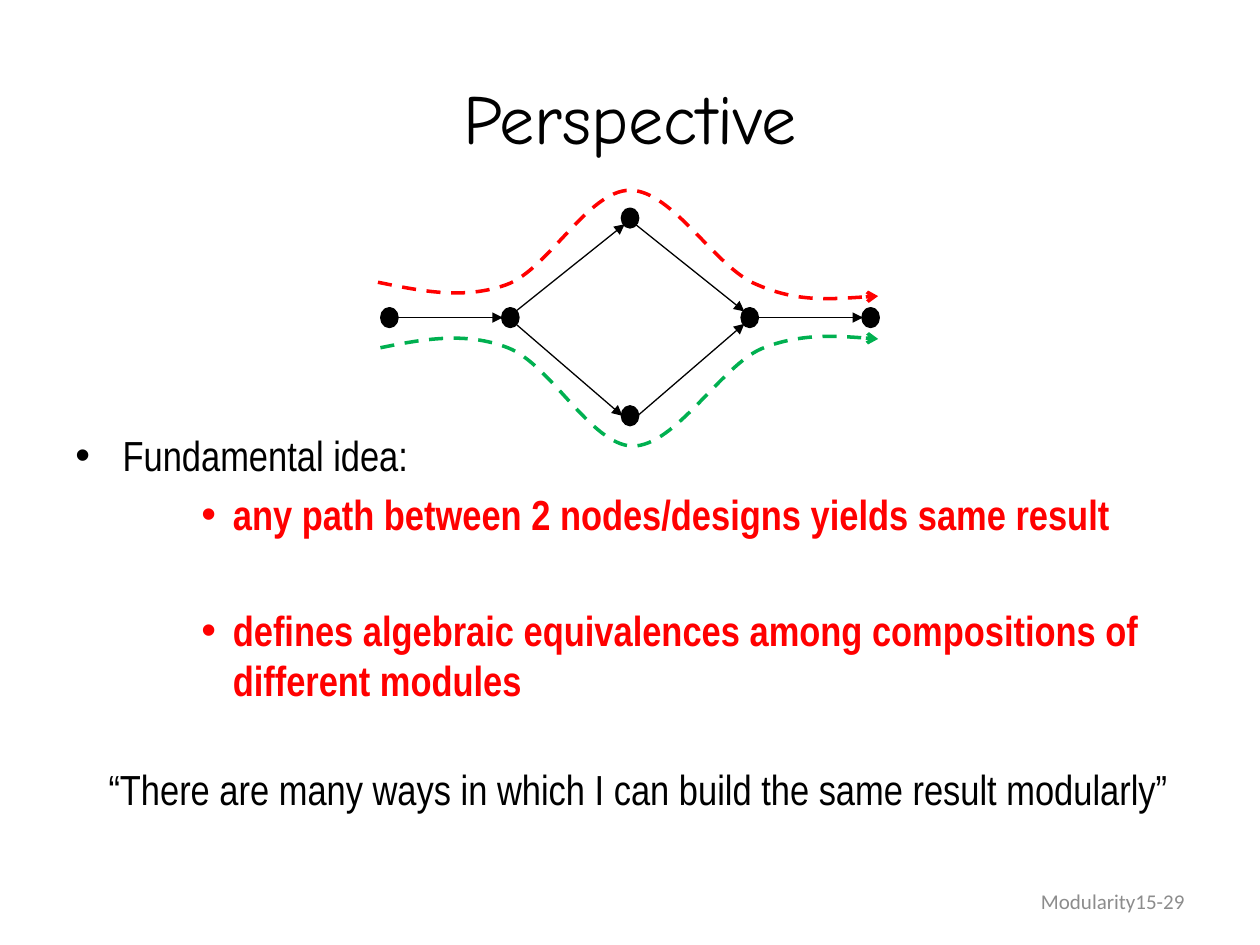
from lxml.etree import SubElement
from pptx import Presentation
from pptx.dml.color import RGBColor
from pptx.enum.dml import MSO_LINE
from pptx.enum.shapes import MSO_CONNECTOR, MSO_SHAPE
from pptx.enum.text import MSO_ANCHOR, PP_ALIGN
from pptx.oxml.ns import qn
from pptx.util import Pt

BLACK, RED, GREEN, GREY = "000000", "FF0000", "00B050", "8C8C8C"
NODE_WIDTH, NODE_HEIGHT = 8.64, 10.08
NODES = {
    "start": (222.5, 181.5),
    "fork": (291.6, 181.5),
    "upper": (360, 124.6),
    "lower": (360, 237.6),
    "join": (428.4, 181.5),
    "end": (497.5, 181.5),
}
SIDES = {
    "left": (-1, 0),
    "right": (1, 0),
    "upper left": (-0.7, -0.7),
    "upper right": (0.7, -0.7),
    "lower left": (-0.7, 0.7),
    "lower right": (0.7, 0.7),
}
LINKS = [
    ("start", "right", "fork", "left"),
    ("fork", "upper right", "upper", "lower left"),
    ("upper", "lower right", "join", "upper left"),
    ("fork", "lower right", "lower", "left"),
    ("lower", "right", "join", "lower left"),
    ("join", "right", "end", "left"),
]
LOWER_ROUTE = [
    (217.4, 198.7), (241.9, 193.7), (266.4, 189.4), (290.2, 198.7), (314.6, 208.1),
    (337.7, 254.2), (361.4, 254.9), (385.9, 254.9), (411.8, 209.5), (434.9, 199.4),
    (458.6, 189.4), (501.8, 193.7), (501.8, 193.7),
]
UPPER_ROUTE = [
    (216, 161.3), (240.5, 166.3), (265, 171.4), (289.4, 162.7), (313.2, 154.1),
    (336.2, 108.7), (360, 108.7), (384.5, 108.7), (409, 153.4), (432.7, 162.7),
    (455.8, 172.8), (478.8, 170.6), (501.8, 169.2),
]


def colour(value):
    """Return the colour for a hex string."""
    return RGBColor.from_string(value)


def write_text(paragraph, text, font="Arial Narrow", size=24, color=BLACK, bold=False,
               align=PP_ALIGN.LEFT, before=0, margin=0, indent=0, bullet=None):
    """Put formatted text into a paragraph."""
    run = paragraph.add_run()
    run.text = text
    run.font.name, run.font.size, run.font.bold = font, Pt(size), bold
    run.font.color.rgb = colour(color)
    paragraph.alignment = align
    paragraph.space_before = Pt(before)
    properties = paragraph._p.get_or_add_pPr()
    properties.set("marL", str(Pt(margin)))
    properties.set("indent", str(Pt(indent)))
    if bullet:
        SubElement(properties, qn("a:buFont"), typeface="Arial")
        SubElement(properties, qn("a:buChar"), char=bullet)


def add_text_frame(slide, left, top, width, height, anchor=MSO_ANCHOR.TOP):
    """Add a wrapping text box and return its text frame."""
    box = slide.shapes.add_textbox(Pt(left), Pt(top), Pt(width), Pt(height))
    box.text_frame.word_wrap = True
    box.text_frame.vertical_anchor = anchor
    return box.text_frame


def add_title(slide):
    """Place and fill the title placeholder."""
    title = slide.shapes.title
    title.left, title.top, title.width, title.height = Pt(36), Pt(21.6), Pt(648), Pt(90)
    title.text_frame.vertical_anchor = MSO_ANCHOR.MIDDLE
    write_text(title.text_frame.paragraphs[0], "Perspective", font="Comic Neue",
               size=40, align=PP_ALIGN.CENTER)


def add_body(slide):
    """Add the bulleted statements and the closing quotation."""
    frame = add_text_frame(slide, 36, 242, 648, 268)
    point = dict(color=RED, bold=True, margin=90, indent=-18, bullet="•")
    write_text(frame.paragraphs[0], "Fundamental idea:", margin=27, indent=-27, bullet="•")
    write_text(frame.add_paragraph(), "any path between 2 nodes/designs yields same result",
               before=4.8, **point)
    write_text(frame.add_paragraph(),
               "defines algebraic equivalences among compositions of different modules",
               before=37.5, **point)
    write_text(frame.add_paragraph(),
               "“There are many ways in which I can build the same result modularly”",
               align=PP_ALIGN.CENTER, before=33.5, margin=9)


def format_line(shape, color, width, arrow):
    """Style an outline and give its end an arrowhead."""
    shape.line.color.rgb = colour(color)
    shape.line.width = Pt(width)
    SubElement(shape.line._get_or_add_ln(), qn("a:tailEnd"), type=arrow)


def add_node(slide, center):
    """Add a black dot around a centre."""
    x, y = center
    node = slide.shapes.add_shape(MSO_SHAPE.OVAL, Pt(x - NODE_WIDTH / 2),
                                  Pt(y - NODE_HEIGHT / 2), Pt(NODE_WIDTH), Pt(NODE_HEIGHT))
    node.shadow.inherit = False
    node.fill.solid()
    node.fill.fore_color.rgb = colour(BLACK)
    node.line.color.rgb = colour(BLACK)
    node.line.width = Pt(2)


def node_edge(name, side):
    """Return the point on one side of a node."""
    x, y = NODES[name]
    across, down = SIDES[side]
    return Pt(x + across * NODE_WIDTH / 2), Pt(y + down * NODE_HEIGHT / 2)


def add_link(slide, source, source_side, target, target_side):
    """Add an arrow between two nodes."""
    link = slide.shapes.add_connector(MSO_CONNECTOR.STRAIGHT, *node_edge(source, source_side),
                                      *node_edge(target, target_side))
    format_line(link, BLACK, 0.75, "triangle")
    SubElement(link._element.spPr, qn("a:effectLst"))


def add_route(slide, points, color):
    """Add a dashed curve through cubic control points."""
    corners = [(Pt(x), Pt(y)) for x, y in points]
    builder = slide.shapes.build_freeform(*corners[0])
    builder.add_line_segments(corners[1:], close=False)
    route = builder.convert_to_shape()
    segments = list(route._element.iter(qn("a:lnTo")))
    outline = segments[0].getparent()
    for first in range(0, len(segments), 3):
        curve = SubElement(outline, qn("a:cubicBezTo"))
        for segment in segments[first:first + 3]:
            curve.append(segment[0])
            outline.remove(segment)
    route.shadow.inherit = False
    route.fill.background()
    route.line.dash_style = MSO_LINE.DASH
    format_line(route, color, 2, "arrow")


def main():
    """Build and save the slide."""
    presentation = Presentation()
    presentation.slide_width, presentation.slide_height = Pt(720), Pt(540)
    slide = presentation.slides.add_slide(presentation.slide_layouts[5])
    add_title(slide)
    add_body(slide)
    add_route(slide, LOWER_ROUTE, GREEN)
    add_route(slide, UPPER_ROUTE, RED)
    footer = add_text_frame(slide, 516, 500.5, 168, 28.8, MSO_ANCHOR.MIDDLE)
    write_text(footer.paragraphs[0], "Modularity15-29", font="Calibri", size=12,
               color=GREY, align=PP_ALIGN.RIGHT)
    for center in NODES.values():
        add_node(slide, center)
    for link in LINKS:
        add_link(slide, *link)
    presentation.save("out.pptx")


if __name__ == "__main__":
    main()
